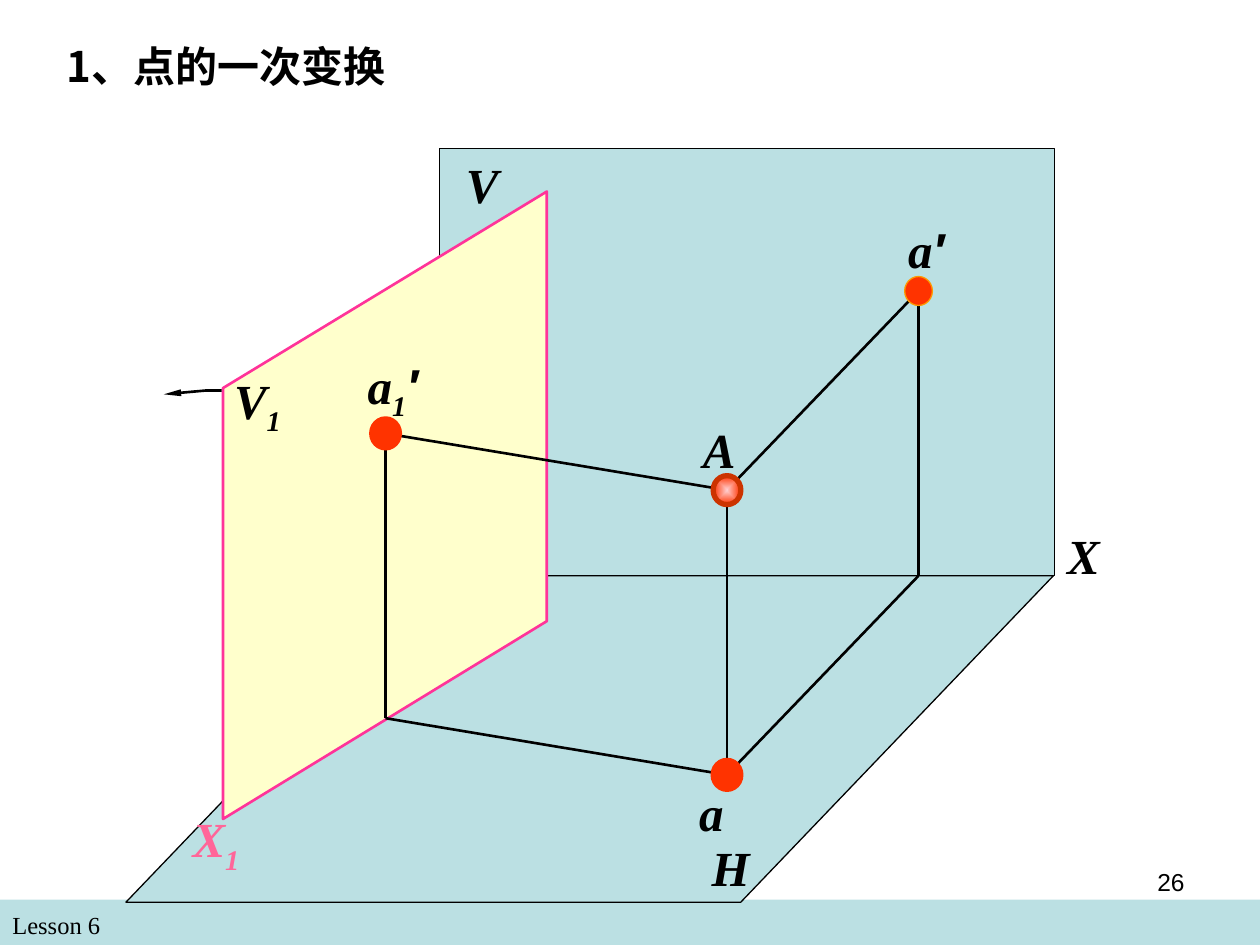
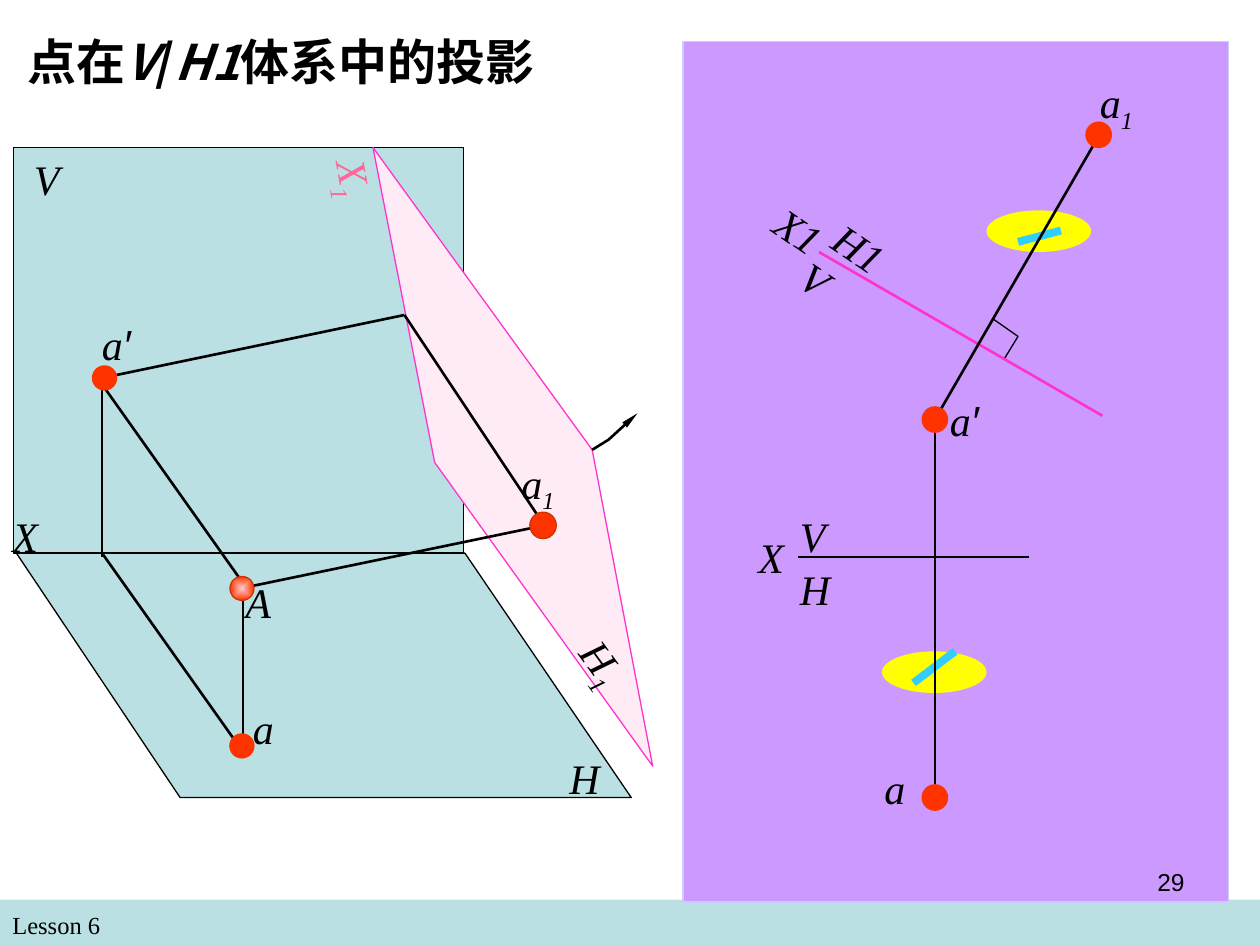
from lxml.etree import SubElement
from pptx import Presentation
from pptx.dml.color import RGBColor
from pptx.enum.shapes import MSO_CONNECTOR, MSO_SHAPE as SHAPE
from pptx.enum.text import MSO_ANCHOR, MSO_AUTO_SIZE, PP_ALIGN
from pptx.oxml.ns import qn
from pptx.util import Inches, Pt

BLACK, TEAL, RED, DARK_RED = "000000", "BBE0E3", "FF3300", "CC3300"
PINK, ROSE, YELLOW, CYAN = "FF33CC", "FF6699", "FFFF00", "33CCFF"
GLOW = ("FFCCCC", RED)
SERIF, SANS, CHINESE = "Times New Roman", "Arial", "Noto Sans CJK SC"


def paint(shape, fill=None, line=None, width=0.75):
    """Colour a shape or connector; a pair of fill colours makes a glow."""
    if isinstance(fill, tuple):
        shape.fill.gradient()
        for stop, color in zip(shape.fill.gradient_stops, fill):
            stop.color.rgb = RGBColor.from_string(color)
        gradient = shape.element.spPr.find(qn("a:gradFill"))
        gradient.remove(gradient.find(qn("a:lin")))
        center = SubElement(gradient, qn("a:path"), {"path": "rect"})
        SubElement(center, qn("a:fillToRect"), dict.fromkeys("ltrb", "50000"))
    elif fill:
        shape.fill.solid()
        shape.fill.fore_color.rgb = RGBColor.from_string(fill)
    elif hasattr(shape, "fill"):
        shape.fill.background()
    if line:
        shape.line.color.rgb = RGBColor.from_string(line)
        shape.line.width = Pt(width)
    else:
        shape.line.fill.background()
    SubElement(shape.element.spPr, qn("a:effectLst"))


def add_text(slide, box, font_name, size, color=BLACK):
    """Add a wrapping text box and return it with its first paragraph."""
    text_box = slide.shapes.add_textbox(*map(Inches, box))
    text_box.text_frame.word_wrap = True
    paragraph = text_box.text_frame.paragraphs[0]
    paragraph.font.name = font_name
    paragraph.font.size = Pt(size)
    paragraph.font.color.rgb = RGBColor.from_string(color)
    return text_box, paragraph


# Slide contents
# title: pieces that alternate between upright and italic
# faces: preset or None, box or corner points, fill, line, line width
# lines: start, end, colour, width
# dots: centre, width, height, fill, line, line width
# labels: letter, subscript, prime, left, top, width, colour, rotation
one_change = dict(
    title=["1、点的一次变换"], title_box=(0.43, 0.27, 2.78, 0.5), title_size=24,
    label_size=28, bold=True, number="26",
    faces=[
        (None, [(3.48, 4.57), (1, 7.16), (5.88, 7.16), (8.36, 4.57)], TEAL, BLACK, 0.75),
        (SHAPE.RECTANGLE, (3.49, 1.18, 4.88, 3.39), TEAL, BLACK, 0.75),
        (None, [(1.77, 6.5), (4.34, 4.93), (4.34, 1.52), (1.77, 3.08)],
         "FFFFCC", "FF3399", 1.5),
    ],
    arrow=[(1.76, 3.1), (1.63, 3.1), (1.3, 3.13)],
    lines=[(start, end, BLACK, 1.5) for start, end in [
        ((3.06, 3.44), (3.06, 5.7)),
        ((5.77, 6.15), (3.06, 5.7)),
        ((5.77, 3.89), (3.06, 3.44)),
        ((7.29, 2.31), (7.29, 4.57)),
        ((7.29, 4.57), (5.77, 6.15)),
        ((7.29, 2.31), (5.77, 3.89)),
        ((5.77, 3.89), (5.77, 6.15)),
    ]],
    dots=[
        ((3.06, 3.44), 0.22, 0.23, RED, RED, 3),
        ((5.77, 3.89), 0.22, 0.23, GLOW, DARK_RED, 3),
        ((7.29, 2.31), 0.22, 0.23, RED, "FF9900", 0.75),
        ((5.77, 6.15), 0.22, 0.23, RED, RED, 3),
    ],
    labels=[
        ("V", "", "", 3.6, 1.18, 0.54, BLACK, 0),
        ("H", "", "", 5.55, 6.6, 0.54, BLACK, 0),
        ("X", "", "", 8.37, 4.12, 0.55, BLACK, 0),
        ("X", "1", "", 1.43, 6.37, 1.08, ROSE, 0),
        ("V", "1", "", 1.76, 2.89, 0.87, BLACK, 0),
        ("a", "1", "′", 2.82, 2.77, 0.76, BLACK, 0),
        ("a", "", "′", 7.11, 1.69, 0.87, BLACK, 0),
        ("A", "", "", 5.48, 3.28, 0.54, BLACK, 0),
        ("a", "", "", 5.45, 6.16, 0.87, BLACK, 0),
    ],
)
v_h1_system = dict(
    title=["点在", "V", "/", "H1", "体系中的投影"],
    title_box=(0.12, 0.2, 4.27, 0.57), title_size=28,
    label_size=24, bold=False, number="29",
    faces=[
        (SHAPE.RECTANGLE, (5.42, 0.33, 4.33, 6.83), "CC99FF", "CCCCFF", 0.75),
        (SHAPE.OVAL, (7.83, 1.67, 0.83, 0.33), YELLOW, None, 0),
        (SHAPE.OVAL, (7, 5.17, 0.83, 0.33), YELLOW, None, 0),
        (None, [(3.69, 4.39), (5.01, 6.33), (1.43, 6.33), (0.13, 4.39)], TEAL, BLACK, 0.75),
        (SHAPE.RECTANGLE, (0.11, 1.17, 3.57, 3.22), TEAL, BLACK, 0.75),
        (None, [(2.96, 1.17), (3.45, 3.67), (5.18, 6.08), (4.7, 3.57)],
         "FFEBF6", PINK, 0.75),
        (None, [(7.88, 2.53), (8.08, 2.67), (7.97, 2.85)], None, BLACK, 0.75),
    ],
    arrow=[(4.7, 3.57), (4.83, 3.49), (5.06, 3.28)],
    lines=[
        ((6.5, 2), (8.75, 3.3), PINK, 1.5),
        ((8.08, 1.92), (8.42, 1.83), CYAN, 4.5),
        ((7.58, 5.17), (7.25, 5.42), CYAN, 4.5),
    ] + [(start, end, BLACK, 1.5) for start, end in [
        ((7.42, 3.33), (8.72, 1.08)),
        ((6.33, 4.42), (8.17, 4.42)),
        ((7.42, 3.33), (7.42, 6.33)),
        ((0.81, 3), (3.21, 2.5)),
        ((1.91, 4.67), (4.32, 4.17)),
        ((3.21, 2.5), (4.32, 4.17)),
        ((0.81, 3.05), (0.81, 4.42)),
        ((0.81, 4.39), (1.93, 5.97)),
        ((0.81, 3.05), (1.93, 4.63)),
        ((1.93, 4.67), (1.93, 5.97)),
    ]],
    dots=[
        ((8.72, 1.07), 0.17, 0.17, RED, RED, 3),
        ((7.42, 3.33), 0.17, 0.17, RED, RED, 3),
        ((7.42, 6.33), 0.17, 0.17, RED, RED, 3),
        ((4.31, 4.17), 0.21, 0.21, RED, DARK_RED, 0.75),
        ((1.92, 4.67), 0.19, 0.19, GLOW, DARK_RED, 0.75),
        ((1.92, 5.92), 0.17, 0.17, RED, RED, 2.25),
        ((0.83, 3), 0.17, 0.17, RED, RED, 2.25),
    ],
    labels=[
        ("V", "", "", 0.17, 1.17, 0.54, BLACK, 0),
        ("H", "", "", 4.42, 5.92, 0.4, BLACK, 0),
        ("X", "", "", 0, 4, 0.42, BLACK, 0),
        ("H", "1", "", 4.46, 5.07, 0.73, BLACK, 54),
        ("X", "1", "", 2.51, 1.18, 0.58, ROSE, 80),
        ("X1", "", "", 6.03, 1.67, 0.89, BLACK, 34.2),
        ("H1", "", "", 6.5, 1.78, 0.83, BLACK, 34.2),
        ("V", "", "", 6.26, 2.01, 0.57, BLACK, 34.2),
        ("a", "1", "", 8.63, 0.56, 0.81, BLACK, 0),
        ("X", "", "", 5.92, 4.17, 0.65, BLACK, 0),
        ("V", "", "", 6.25, 4, 0.42, BLACK, 0),
        ("H", "", "", 6.25, 4.42, 0.42, BLACK, 0),
        ("a", "", "′", 7.44, 3.08, 0.88, BLACK, 0),
        ("a", "", "", 6.92, 6, 0.5, BLACK, 0),
        ("a", "1", "", 4.04, 3.58, 0.85, BLACK, 0),
        ("a", "", "′", 0.71, 2.48, 0.64, BLACK, 0),
        ("A", "", "", 1.85, 4.53, 0.4, BLACK, 0),
        ("a", "", "", 1.91, 5.53, 0.64, BLACK, 0),
    ],
)

presentation = Presentation()
presentation.slide_width = Inches(10)
presentation.slide_height = Inches(7.5)

for content in (one_change, v_h1_system):
    slide = presentation.slides.add_slide(presentation.slide_layouts[5])
    shapes = slide.shapes

    # Title
    title = shapes.title
    title.left, title.top, title.width, title.height = map(Inches, content["title_box"])
    frame = title.text_frame
    frame.word_wrap = True
    frame.auto_size = MSO_AUTO_SIZE.NONE
    frame.vertical_anchor = MSO_ANCHOR.TOP
    paragraph = frame.paragraphs[0]
    paragraph.alignment = PP_ALIGN.LEFT
    paragraph.font.size = Pt(content["title_size"])
    paragraph.font.bold = True
    paragraph.font.color.rgb = RGBColor.from_string(BLACK)
    paragraph.font.name = CHINESE
    defaults = paragraph._p.pPr.find(qn("a:defRPr"))
    SubElement(defaults, qn("a:ea"), {"typeface": CHINESE})
    for index, piece in enumerate(content["title"]):
        run = paragraph.add_run()
        run.text = piece
        run.font.italic = index % 2 == 1

    # Footer band
    band = shapes.add_shape(SHAPE.RECTANGLE, 0, Inches(7.14), Inches(10), Inches(0.36))
    paint(band, TEAL)
    _, paragraph = add_text(slide, (0, 7.17, 4.83, 0.34), SERIF, 14)
    paragraph.text = "Lesson 6"

    # Projection planes, and the arrow that names the viewing direction
    for preset, geometry, fill, line, width in content["faces"] + [
            (None, content["arrow"], None, BLACK, 1.5)]:
        if preset:
            face = shapes.add_shape(preset, *map(Inches, geometry))
        else:
            corners = [(Inches(x), Inches(y)) for x, y in geometry]
            builder = shapes.build_freeform(*corners[0])
            builder.add_line_segments(corners[1:], close=fill is not None)
            face = builder.convert_to_shape()
        paint(face, fill, line, width)
    SubElement(face.get_or_add_ln(), qn("a:tailEnd"),
               {"type": "triangle", "w": "sm", "len": "lg"})

    # Projection lines
    for start, end, color, width in content["lines"]:
        connector = shapes.add_connector(MSO_CONNECTOR.STRAIGHT, *map(Inches, start + end))
        paint(connector, line=color, width=width)

    # Points
    for (x, y), width, height, fill, line, line_width in content["dots"]:
        box = (x - width / 2, y - height / 2, width, height)
        dot = shapes.add_shape(SHAPE.OVAL, *map(Inches, box))
        paint(dot, fill, line, line_width)

    # Letters
    size = content["label_size"]
    for letter, subscript, prime, left, top, width, color, rotation in content["labels"]:
        height = size / 60 + (0.16 if subscript else 0.1)
        label, paragraph = add_text(slide, (left, top, width, height), SERIF, size, color)
        label.rotation = rotation
        paragraph.font.bold = content["bold"]
        paragraph.font.italic = True
        paragraph.add_run().text = letter
        if subscript:
            run = paragraph.add_run()
            run.text = subscript
            run._r.get_or_add_rPr().set("baseline", "-25000")
        if prime:
            run = paragraph.add_run()
            run.text = prime
            run.font.name = SANS

    # Page number
    _, paragraph = add_text(slide, (7.17, 6.83, 2.33, 0.52), SANS, 14)
    paragraph.text = content["number"]
    paragraph.alignment = PP_ALIGN.RIGHT

presentation.save("out.pptx")
